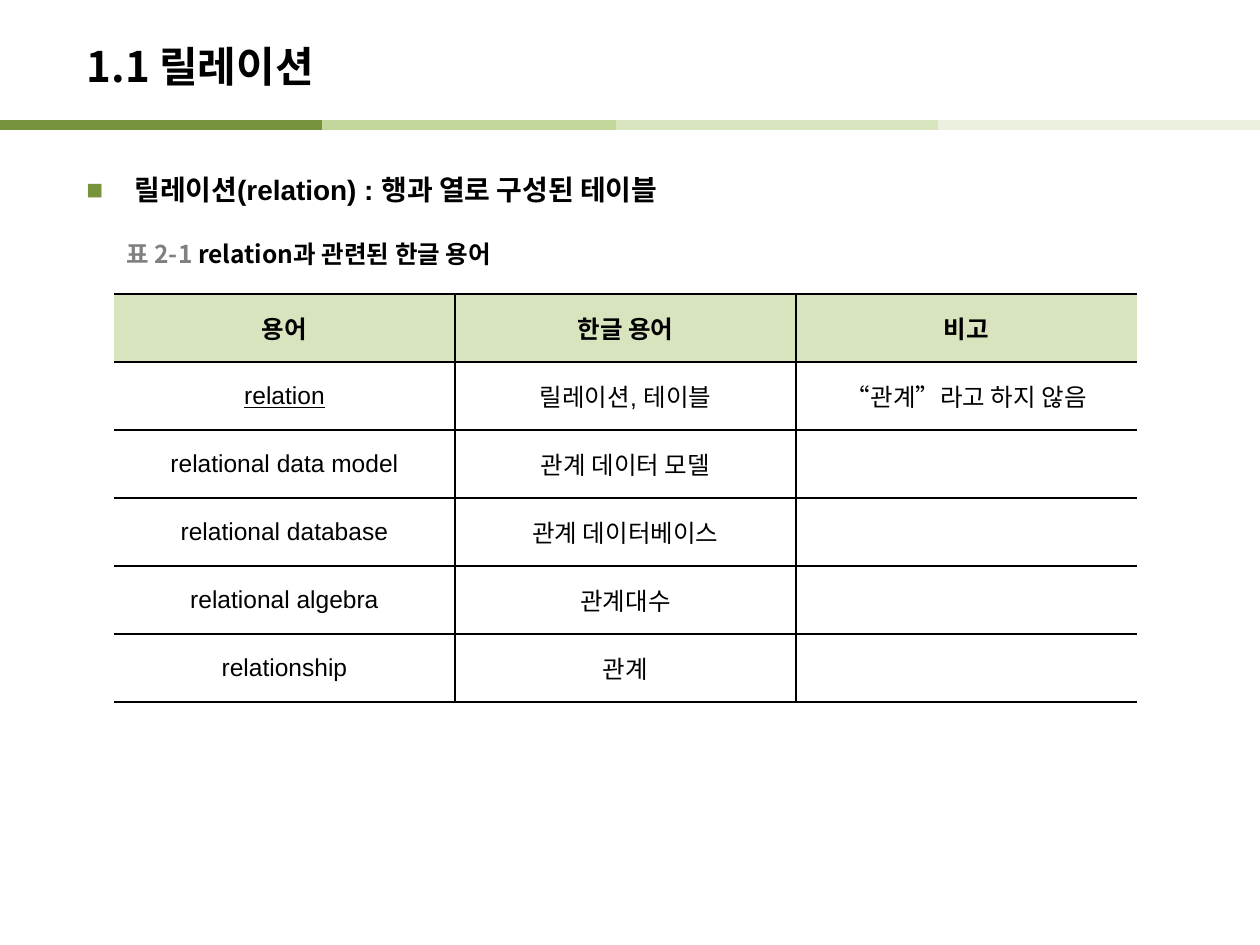
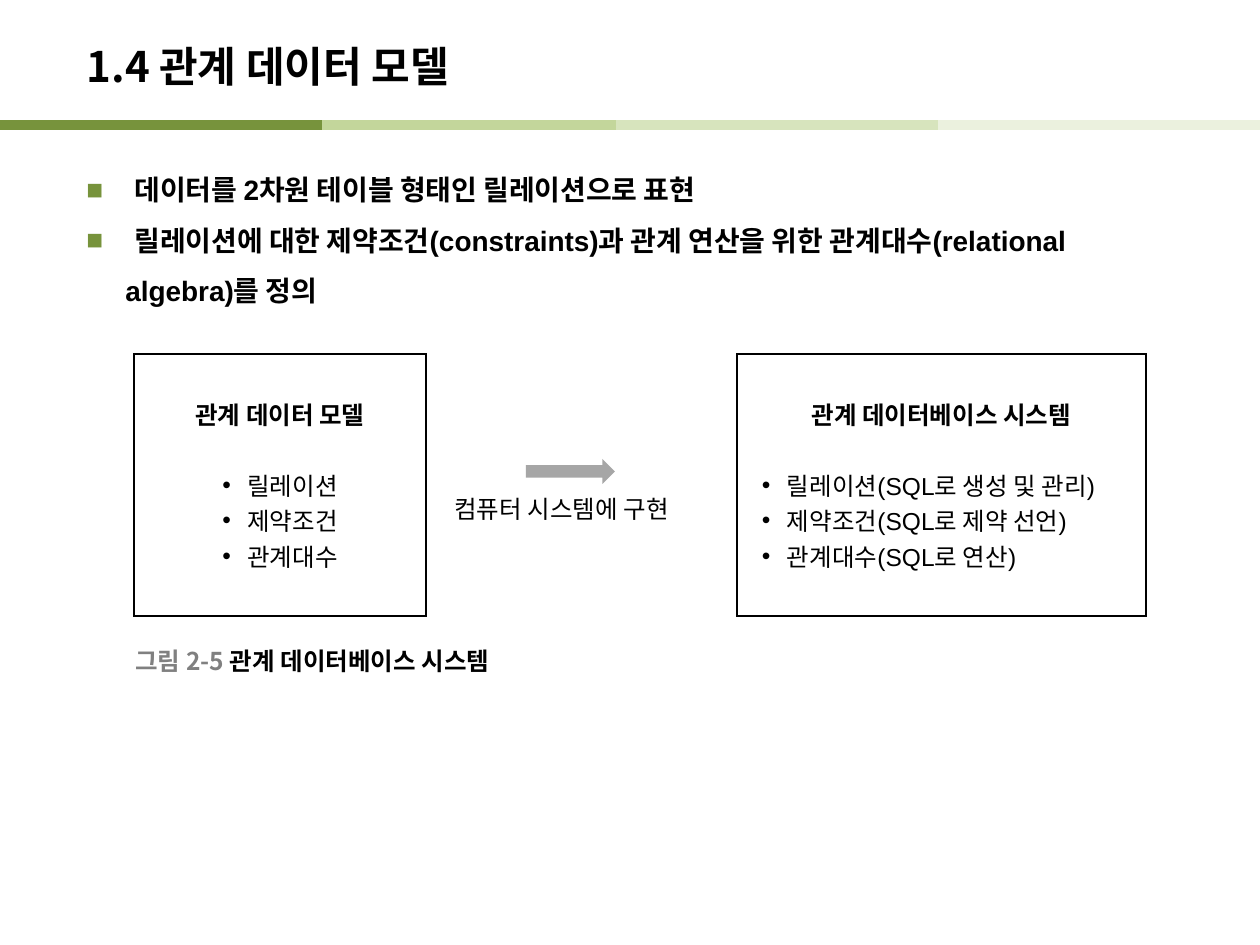
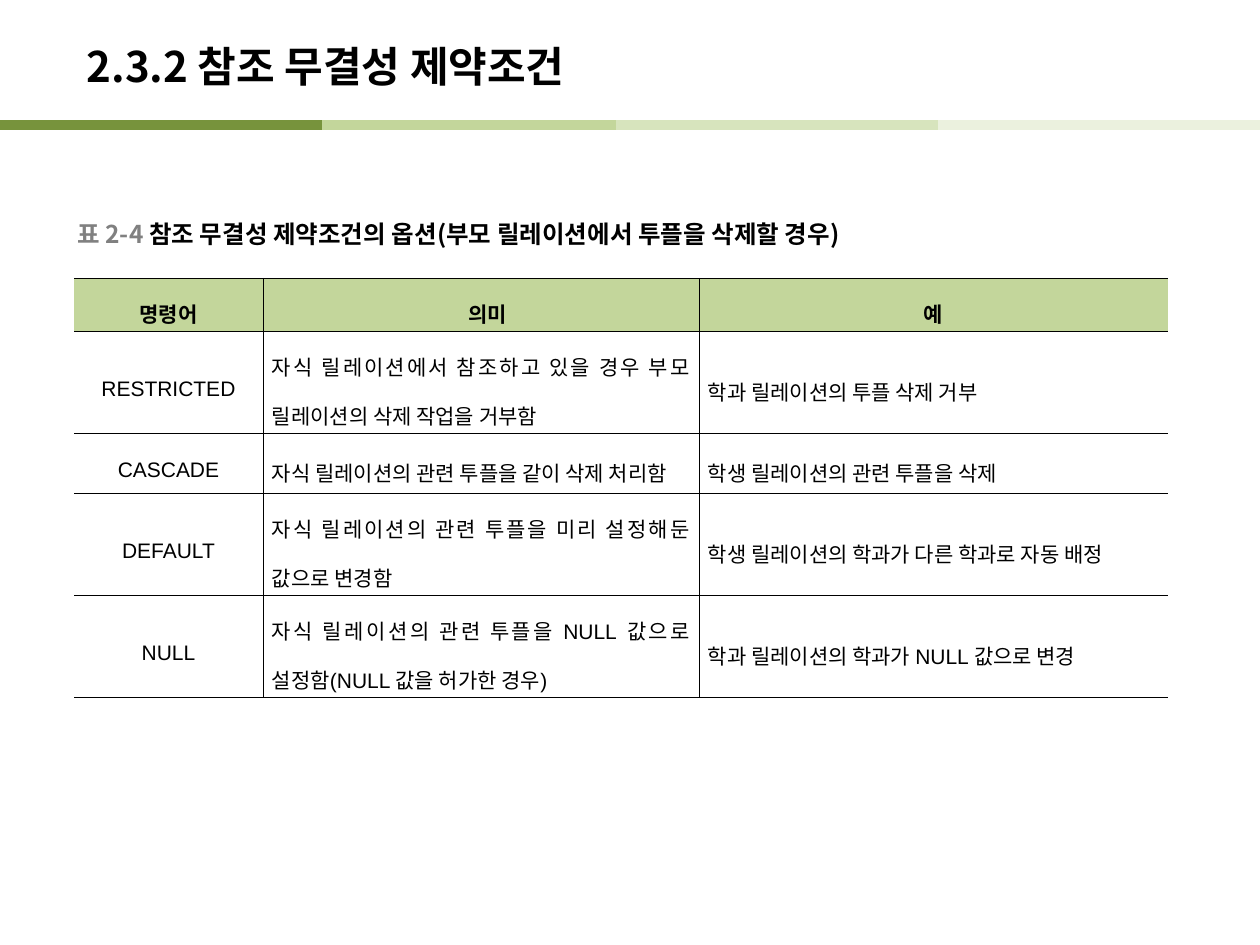
from dataclasses import dataclass, replace
from typing import Any

from lxml import etree
from pptx import Presentation
from pptx.dml.color import RGBColor
from pptx.enum.shapes import MSO_CONNECTOR, MSO_SHAPE
from pptx.enum.text import MSO_ANCHOR, MSO_AUTO_SIZE, PP_ALIGN
from pptx.oxml.ns import qn
from pptx.util import Emu, Pt

STRAIGHT = MSO_CONNECTOR.STRAIGHT
RIGHT_ARROW = MSO_SHAPE.RIGHT_ARROW
MIDDLE, TOP = MSO_ANCHOR.MIDDLE, MSO_ANCHOR.TOP
LEFT, CENTER, JUSTIFY = PP_ALIGN.LEFT, PP_ALIGN.CENTER, PP_ALIGN.JUSTIFY
NO_AUTOFIT = MSO_AUTO_SIZE.NONE

PX_PER_INCH = 126
SLIDE_WIDTH, SLIDE_HEIGHT = 1260, 945
BAND_WIDTH, BAND_Y, BAND_POINTS = 322, 125, 6
LABEL_HEIGHT = 39

BLACK, WHITE, GRAY, ARROW_GRAY = "000000", "FFFFFF", "808080", "A6A6A6"
DARK_GREEN, GREEN, LIGHT_GREEN, PALE_GREEN = "77933C", "C3D69B", "D7E4BD", "EBF1DE"
LATIN, KOREAN = "Arial", "Noto Sans CJK KR"


@dataclass(frozen=True)
class Style:
    size: int
    font: str = LATIN
    bold: bool = False
    underline: bool = False
    align: PP_ALIGN = LEFT
    line_spacing: float = 1.0
    space_before: int = 0
    indent: int = 0
    hanging: int = 0
    bullet: str = ""
    bullet_color: str = BLACK


@dataclass(frozen=True)
class Line:
    text: str
    style: Style


@dataclass(frozen=True)
class Box:
    left: int
    top: int
    width: int
    height: int


@dataclass(frozen=True)
class Grid:
    """Edges name the drawn sides (L, R, T, B) of the cells in each column."""
    left: int
    top: int
    columns: tuple[int, ...]
    rows: tuple[int, ...]
    edges: tuple[str, ...]
    border_points: float
    margins: tuple[int, int, int]
    anchor: MSO_ANCHOR = MIDDLE


TITLE = Style(24, KOREAN, bold=True)
POINT = Style(16, bold=True, line_spacing=1.5, indent=48, hanging=48,
              bullet="■", bullet_color=DARK_GREEN)
POINT_REST = replace(POINT, indent=39, hanging=0, bullet="")
CAPTION = Style(14, KOREAN, bold=True)
TERM_HEAD = Style(14, KOREAN, bold=True, align=CENTER)
TERM = Style(14, align=CENTER)
OPTION_HEAD = Style(12, bold=True, align=CENTER, line_spacing=1.6)
OPTION = replace(OPTION_HEAD, bold=False)
OPTION_TEXT = replace(OPTION, align=JUSTIFY)
PANEL_HEAD = Style(14, bold=True, align=CENTER)
MODEL_ITEM = Style(14, align=CENTER, indent=25, hanging=25, bullet="•")
SYSTEM_ITEM = replace(MODEL_ITEM, align=LEFT, indent=37)

TITLE_BOX = Box(74, 28, 1042, 76)
OPEN_SIDES = ("RTB", "LRTB", "LTB")
SEPARATE_PANELS = ("LRTB", "LR", "LRTB")

TERM_ROWS = (
    ("용어", "한글 용어", "비고"),
    ("relation", "릴레이션, 테이블", "“관계”라고 하지 않음"),
    ("relational data model", "관계 데이터 모델", ""),
    ("relational database", "관계 데이터베이스", ""),
    ("relational algebra", "관계대수", ""),
    ("relationship", "관계", ""),
)
OPTION_ROWS = (
    ("명령어", "의미", "예"),
    ("RESTRICTED", "자식 릴레이션에서 참조하고 있을 경우 부모 릴레이션의 삭제 작업을 거부함",
     "학과 릴레이션의 투플 삭제 거부"),
    ("CASCADE", "자식 릴레이션의 관련 투플을 같이 삭제 처리함",
     "학생 릴레이션의 관련 투플을 삭제"),
    ("DEFAULT", "자식 릴레이션의 관련 투플을 미리 설정해둔 값으로 변경함",
     "학생 릴레이션의 학과가 다른 학과로 자동 배정"),
    ("NULL", "자식 릴레이션의 관련 투플을 NULL 값으로 설정함(NULL 값을 허가한 경우)",
     "학과 릴레이션의 학과가 NULL 값으로 변경"),
)
MODEL_ITEMS = ("릴레이션", "제약조건", "관계대수")
SYSTEM_ITEMS = ("릴레이션(SQL로 생성 및 관리)", "제약조건(SQL로 제약 선언)", "관계대수(SQL로 연산)")


def px(length: int) -> Emu:
    return Emu(round(length * 914400 / PX_PER_INCH))


def rgb(color: str) -> RGBColor:
    return RGBColor.from_string(color)


def add_color(parent: Any, tag: str, color: str) -> None:
    holder = etree.SubElement(parent, qn(tag))
    etree.SubElement(holder, qn("a:srgbClr"), val=color)


def format_paragraph(paragraph: Any, style: Style) -> None:
    paragraph.alignment = style.align
    paragraph.line_spacing = style.line_spacing
    paragraph.space_before = Pt(style.space_before)
    properties = paragraph._p.get_or_add_pPr()
    properties.set("marL", str(px(style.indent)))
    properties.set("indent", str(-px(style.hanging)))
    if style.bullet:
        add_color(properties, "a:buClr", style.bullet_color)
        etree.SubElement(properties, qn("a:buFont"), typeface=LATIN)
        etree.SubElement(properties, qn("a:buChar"), char=style.bullet)
    else:
        etree.SubElement(properties, qn("a:buNone"))
    font = paragraph.font
    font.size = Pt(style.size)
    font.bold = style.bold
    font.underline = style.underline
    font.color.rgb = rgb(BLACK)
    font.name = style.font
    etree.SubElement(properties.find(qn("a:defRPr")), qn("a:ea"), typeface=KOREAN)


def write_lines(frame: Any, lines: tuple[Line, ...]) -> None:
    for index, line in enumerate(lines):
        paragraph = frame.add_paragraph() if index else frame.paragraphs[0]
        format_paragraph(paragraph, line.style)
        paragraph.add_run().text = line.text


def place(shape: Any, box: Box) -> None:
    shape.left, shape.top = px(box.left), px(box.top)
    shape.width, shape.height = px(box.width), px(box.height)


def add_text(slide: Any, box: Box, lines: tuple[Line, ...],
             anchor: MSO_ANCHOR = TOP) -> Any:
    shape = slide.shapes.add_textbox(0, 0, 0, 0)
    place(shape, box)
    shape.text_frame.word_wrap = True
    shape.text_frame.vertical_anchor = anchor
    write_lines(shape.text_frame, lines)
    return shape


def add_caption(slide: Any, left: int, top: int, width: int,
                number: str, text: str) -> None:
    caption = add_text(slide, Box(left, top, width, LABEL_HEIGHT),
                       (Line(f"{number} ", CAPTION),), MIDDLE)
    paragraph = caption.text_frame.paragraphs[0]
    paragraph.runs[0].font.color.rgb = rgb(GRAY)
    paragraph.add_run().text = text


def add_titled_slide(deck: Any, title: str) -> Any:
    slide = deck.slides.add_slide(deck.slide_layouts[5])
    heading = slide.shapes.title
    place(heading, TITLE_BOX)
    heading.text_frame.vertical_anchor = MIDDLE
    heading.text_frame.auto_size = NO_AUTOFIT
    write_lines(heading.text_frame, (Line(title, TITLE),))
    return slide


def add_bands_to_layout(slide: Any) -> None:
    """Draws the bands, then moves them to the layout that all slides share."""
    colors = (GREEN, LIGHT_GREEN, PALE_GREEN)
    bands = [(SLIDE_WIDTH - BAND_WIDTH * (len(colors) - index), color)
             for index, color in enumerate(colors)]
    for left, color in bands + [(0, DARK_GREEN)]:
        band = slide.shapes.add_connector(
            STRAIGHT, px(left), px(BAND_Y), px(left + BAND_WIDTH), px(BAND_Y))
        band.line.color.rgb = rgb(color)
        band.line.width = Pt(BAND_POINTS)
        etree.SubElement(band.element.spPr, qn("a:effectLst"))
        slide.slide_layout.shapes.element.append(band.element)


def set_borders(cell: Any, edges: str, points: float) -> None:
    properties = cell._tc.get_or_add_tcPr()
    for index, side in enumerate("LRTB"):
        border = etree.Element(qn(f"a:ln{side}"), w=str(Pt(points)))
        if side in edges:
            add_color(border, "a:solidFill", BLACK)
        else:
            etree.SubElement(border, qn("a:noFill"))
        properties.insert(index, border)


def add_grid(slide: Any, grid: Grid) -> Any:
    table = slide.shapes.add_table(
        len(grid.rows), len(grid.columns), px(grid.left), px(grid.top),
        px(sum(grid.columns)), px(sum(grid.rows))).table
    table.first_row = table.horz_banding = False
    for column, width in zip(table.columns, grid.columns):
        column.width = px(width)
    for row, height in zip(table.rows, grid.rows):
        row.height = px(height)
        for cell, edges in zip(row.cells, grid.edges):
            side, top, bottom = grid.margins
            cell.margin_left = cell.margin_right = px(side)
            cell.margin_top, cell.margin_bottom = px(top), px(bottom)
            cell.vertical_anchor = grid.anchor
            set_borders(cell, edges, grid.border_points)
    return table


def fill_cell(cell: Any, color: str, lines: tuple[Line, ...] = ()) -> None:
    if color:
        cell.fill.solid()
        cell.fill.fore_color.rgb = rgb(color)
    else:
        cell.fill.background()
    write_lines(cell.text_frame, lines)


def build_relation_slide(deck: Any) -> None:
    slide = add_titled_slide(deck, "1.1 릴레이션")
    add_bands_to_layout(slide)
    add_text(slide, Box(74, 150, 1111, 753),
             (Line("릴레이션(relation) : 행과 열로 구성된 테이블", POINT),))
    terms = add_grid(slide, Grid(114, 294, (341,) * 3, (68,) * len(TERM_ROWS),
                                 OPEN_SIDES, 1, (13, 6, 6)))
    for row, texts in enumerate(TERM_ROWS):
        for column, text in enumerate(texts):
            style = TERM if row else TERM_HEAD
            if text == "relation":
                style = replace(style, underline=True)
            fill_cell(terms.cell(row, column), WHITE if row else LIGHT_GREEN,
                      (Line(text, style),) if text else ())
    add_caption(slide, 114, 234, 440, "표 2-1", "relation과 관련된 한글 용어")


def panel_lines(heading: str, items: tuple[str, ...], style: Style) -> tuple[Line, ...]:
    first = replace(style, space_before=20)
    return (Line(heading, PANEL_HEAD),
            *(Line(item, style if index else first) for index, item in enumerate(items)))


def build_model_slide(deck: Any) -> None:
    slide = add_titled_slide(deck, "1.4 관계 데이터 모델")
    add_text(slide, Box(74, 150, 1121, 753), (
        Line("데이터를 2차원 테이블 형태인 릴레이션으로 표현", POINT),
        Line("릴레이션에 대한 제약조건(constraints)과 관계 연산을 위한 관계대수(relational", POINT),
        Line("algebra)를 정의", POINT_REST),
    ))
    panels = add_grid(slide, Grid(134, 354, (292, 311, 409), (262,),
                                  SEPARATE_PANELS, 1, (13, 42, 6), TOP))
    fill_cell(panels.cell(0, 0), WHITE,
              panel_lines("관계 데이터 모델", MODEL_ITEMS, MODEL_ITEM))
    fill_cell(panels.cell(0, 1), WHITE)
    fill_cell(panels.cell(0, 2), WHITE,
              panel_lines("관계 데이터베이스 시스템", SYSTEM_ITEMS, SYSTEM_ITEM))

    arrow = slide.shapes.add_shape(RIGHT_ARROW, px(526), px(459), px(89), px(25))
    arrow.shadow.inherit = False
    arrow.fill.solid()
    arrow.fill.fore_color.rgb = rgb(ARROW_GRAY)
    arrow.line.fill.background()
    add_text(slide, Box(442, 489, 258, LABEL_HEIGHT),
             (Line("컴퓨터 시스템에 구현", Style(14)),), MIDDLE)
    add_caption(slide, 123, 641, 440, "그림 2-5", "관계 데이터베이스 시스템")


def build_integrity_slide(deck: Any) -> None:
    slide = add_titled_slide(deck, "2.3.2 참조 무결성 제약조건")
    options = add_grid(slide, Grid(74, 278, (189, 436, 469), (53, 102, 60, 102, 102),
                                   OPEN_SIDES, 0.28, (9, 2, 2)))
    for row, texts in enumerate(OPTION_ROWS):
        for column, text in enumerate(texts):
            if row:
                style = OPTION_TEXT if column else OPTION
            else:
                style = replace(OPTION_HEAD, indent=13 if column == 1 else 0)
            fill_cell(options.cell(row, column), "" if row else GREEN, (Line(text, style),))
    add_caption(slide, 65, 214, 880, "표 2-4",
                "참조 무결성 제약조건의 옵션(부모 릴레이션에서 투플을 삭제할 경우)")


def main() -> None:
    deck = Presentation()
    deck.slide_width, deck.slide_height = px(SLIDE_WIDTH), px(SLIDE_HEIGHT)
    build_relation_slide(deck)
    build_model_slide(deck)
    build_integrity_slide(deck)
    deck.save("out.pptx")


if __name__ == "__main__":
    main()
